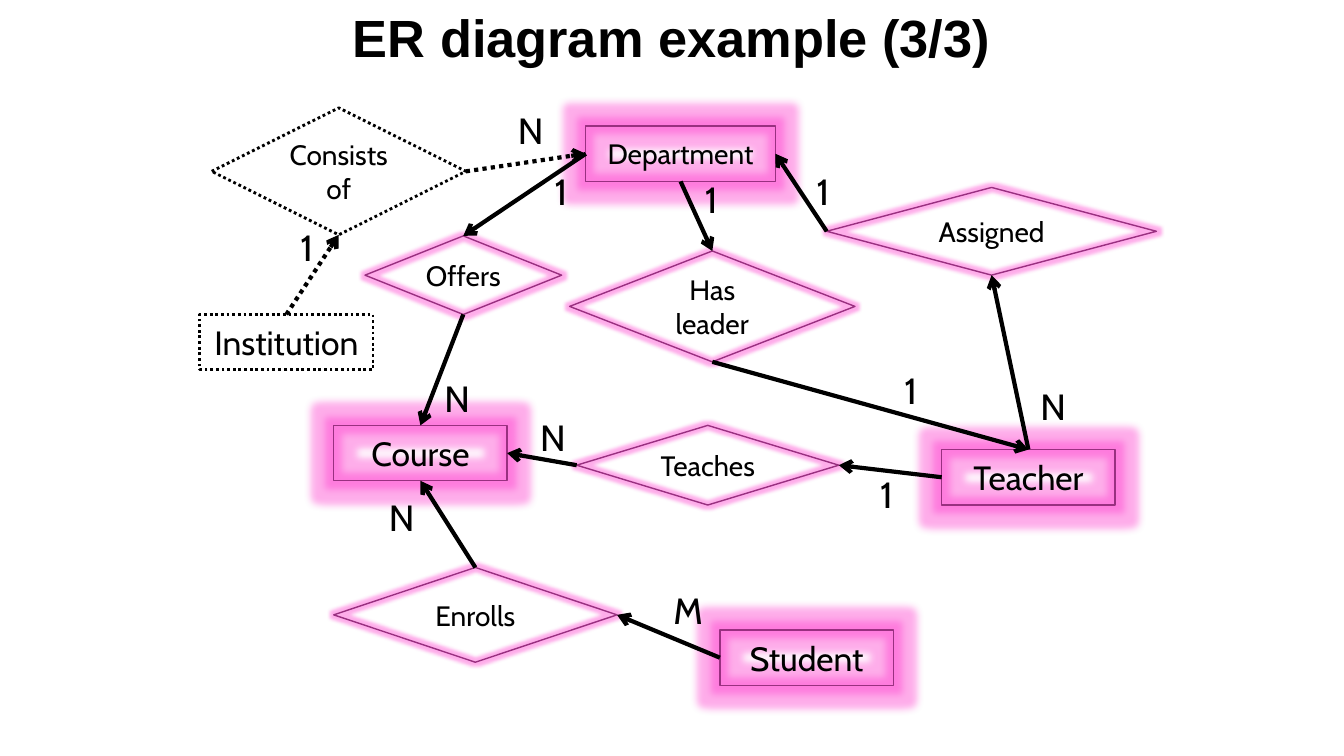
import pptx
import pptx.util
import pptx.dml.color
import pptx.enum.dml
import pptx.enum.shapes
import pptx.enum.text
import pptx.oxml
import pptx.oxml.ns

Inches = pptx.util.Inches
Pt = pptx.util.Pt
RGBColor = pptx.dml.color.RGBColor
Preset = pptx.enum.shapes.MSO_SHAPE

BLACK = RGBColor(0x00, 0x00, 0x00)
PLUM = RGBColor(0x99, 0x30, 0x80)
PINK = RGBColor(0xFF, 0x33, 0xCC)
FONT = "Cabin"
WIDTH, HEIGHT = 13.33, 7.5

TITLE = "ER diagram example (3/3)"
ENTITY_SIZE = (1.72, 0.55)
ENTITIES = {
    "Department": (5.81, 1.25, 1.88, 0.55),
    "Teacher": (9.34, 4.46, *ENTITY_SIZE),
    "Course": (3.31, 4.22, *ENTITY_SIZE),
    "Student": (7.14, 6.25, *ENTITY_SIZE),
    "Institution": (1.98, 3.12, *ENTITY_SIZE),
}
RELATIONSHIPS = {
    "Offers": (3.62, 2.34, 1.95, 0.78),
    "Has leader": (5.65, 2.49, 2.83, 1.1),
    "Assigned": (8.2, 1.86, 3.27, 0.87),
    "Teaches": (5.72, 4.22, 2.6, 0.79),
    "Enrolls": (3.31, 5.63, 2.81, 0.94),
    "Consists of": (2.1, 1.07, 2.52, 1.26),
}
DOTTED = {"Institution", "Consists of"}
SMALL_ENTITIES = {"Department"}

TOP, LEFT, BOTTOM, RIGHT = range(4)
LINKS = [
    ("Department", LEFT, "Offers", TOP, "1", (5.33, 1.7)),
    ("Offers", BOTTOM, "Course", TOP, "N", (4.3, 3.75)),
    ("Teacher", TOP, "Assigned", BOTTOM, "N", (10.21, 3.83)),
    ("Assigned", LEFT, "Department", RIGHT, "1", (7.93, 1.7)),
    ("Teaches", LEFT, "Course", RIGHT, "N", (5.25, 4.14)),
    ("Department", BOTTOM, "Has leader", TOP, "1", (6.82, 1.78)),
    ("Has leader", BOTTOM, "Teacher", TOP, "1", (8.8, 3.67)),
    ("Teacher", LEFT, "Teaches", RIGHT, "1", (8.56, 4.7)),
    ("Enrolls", TOP, "Course", BOTTOM, "N", (3.75, 4.93)),
    ("Student", LEFT, "Enrolls", RIGHT, "M", (6.59, 5.86)),
    ("Institution", TOP, "Consists of", BOTTOM, "1", (2.81, 2.25)),
    ("Consists of", RIGHT, "Department", LEFT, "N", (5.03, 1.09)),
]


def add_element(parent, tag, **attributes):
    element = pptx.oxml.parse_xml(f"<{tag} {pptx.oxml.ns.nsdecls('a')}/>")
    for key, value in attributes.items():
        element.set(key, str(value))
    parent.append(element)
    return element


def write(shape, text, size, font=FONT, bold=False, spacing=None):
    frame = shape.text_frame
    frame.word_wrap = True
    frame.vertical_anchor = pptx.enum.text.MSO_ANCHOR.MIDDLE
    paragraph = frame.paragraphs[0]
    paragraph.alignment = pptx.enum.text.PP_ALIGN.CENTER
    if spacing:
        paragraph.line_spacing = spacing
    run = paragraph.add_run()
    run.text = text
    run.font.name = font
    run.font.size = Pt(size)
    run.font.bold = bold
    run.font.color.rgb = BLACK


def add_label(slide, box, text, size, **style):
    label = slide.shapes.add_textbox(*map(Inches, box))
    frame = label.text_frame
    frame.margin_left = frame.margin_right = 0
    frame.margin_top = frame.margin_bottom = 0
    write(label, text, size, **style)


def style_line(line, color, width, dotted):
    line.color.rgb = color
    line.width = Pt(width)
    if dotted:
        line.dash_style = pptx.enum.dml.MSO_LINE.ROUND_DOT


def add_node(slide, preset, name, box, size, glow):
    node = slide.shapes.add_shape(preset, *map(Inches, box))
    node.fill.background()
    node.shadow.inherit = False
    dotted = name in DOTTED
    style_line(node.line, BLACK if dotted else PLUM, 2 if dotted else 1, dotted)
    if not dotted:
        effects = node._element.spPr.find(pptx.oxml.ns.qn("a:effectLst"))
        halo = add_element(effects, "a:glow", rad=Pt(glow))
        color = add_element(halo, "a:srgbClr", val=PINK)
        add_element(color, "a:alpha", val=40000)
    write(node, name, size)
    return node


def add_link(slide, start, start_site, end, end_site, dotted):
    link = slide.shapes.add_connector(
        pptx.enum.shapes.MSO_CONNECTOR.STRAIGHT, 0, 0, 0, 0)
    link.begin_connect(start, start_site)
    link.end_connect(end, end_site)
    style_line(link.line, BLACK, 3, dotted)
    add_element(link.line._get_or_add_ln(), "a:tailEnd", type="arrow")
    add_element(link._element.spPr, "a:effectLst")


def main():
    presentation = pptx.Presentation()
    presentation.slide_width = Inches(WIDTH)
    presentation.slide_height = Inches(HEIGHT)
    slide = presentation.slides.add_slide(presentation.slide_layouts[6])
    add_label(slide, (0, 0.16, WIDTH, 0.55), TITLE, 37.4,
              font="Arial", bold=True, spacing=0.7)

    nodes = {}
    for name, box in ENTITIES.items():
        size = 20 if name in SMALL_ENTITIES else 24
        nodes[name] = add_node(slide, Preset.RECTANGLE, name, box, size, 11)
    for name, box in RELATIONSHIPS.items():
        nodes[name] = add_node(
            slide, Preset.FLOWCHART_DECISION, name, box, 20, 5)

    for start, start_site, end, end_site, text, corner in LINKS:
        dotted = bool(DOTTED & {start, end})
        add_link(slide, nodes[start], start_site, nodes[end], end_site, dotted)
        add_label(slide, (*corner, 0.47, 0.39), text, 26)

    presentation.save("out.pptx")


if __name__ == "__main__":
    main()
